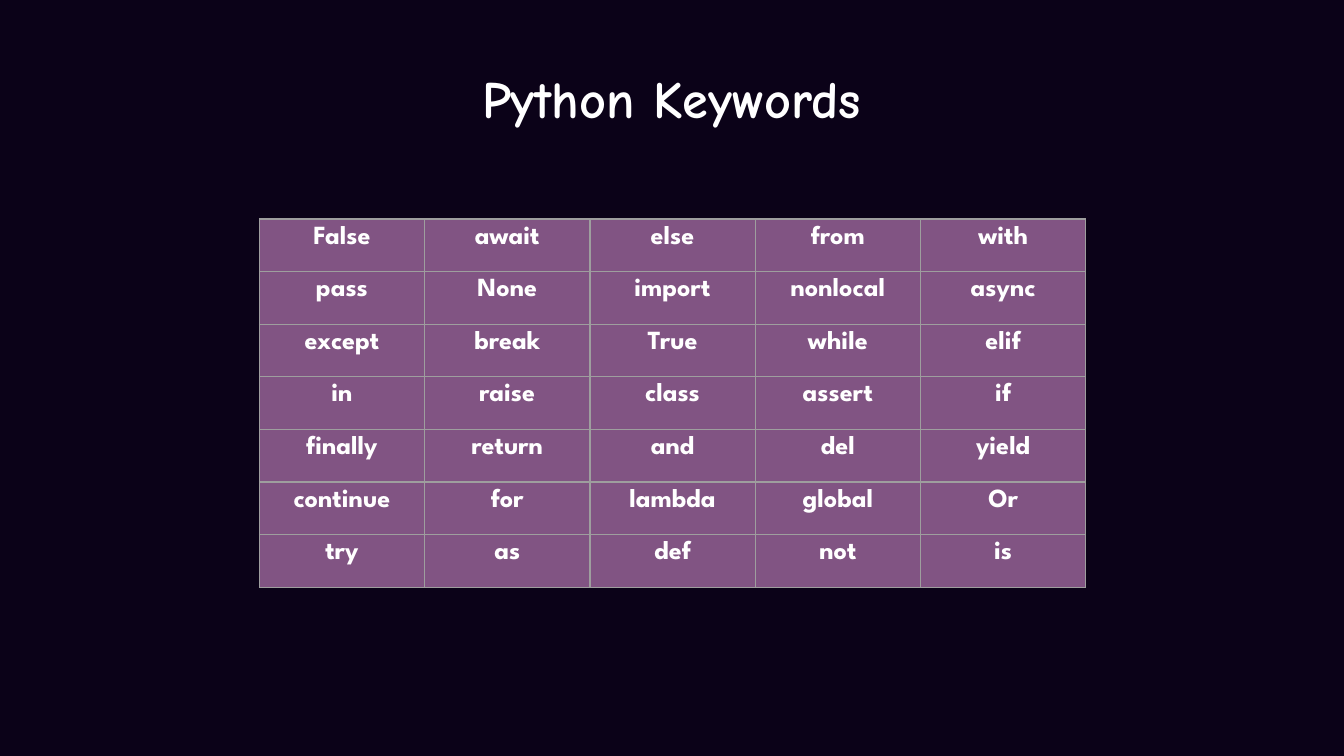
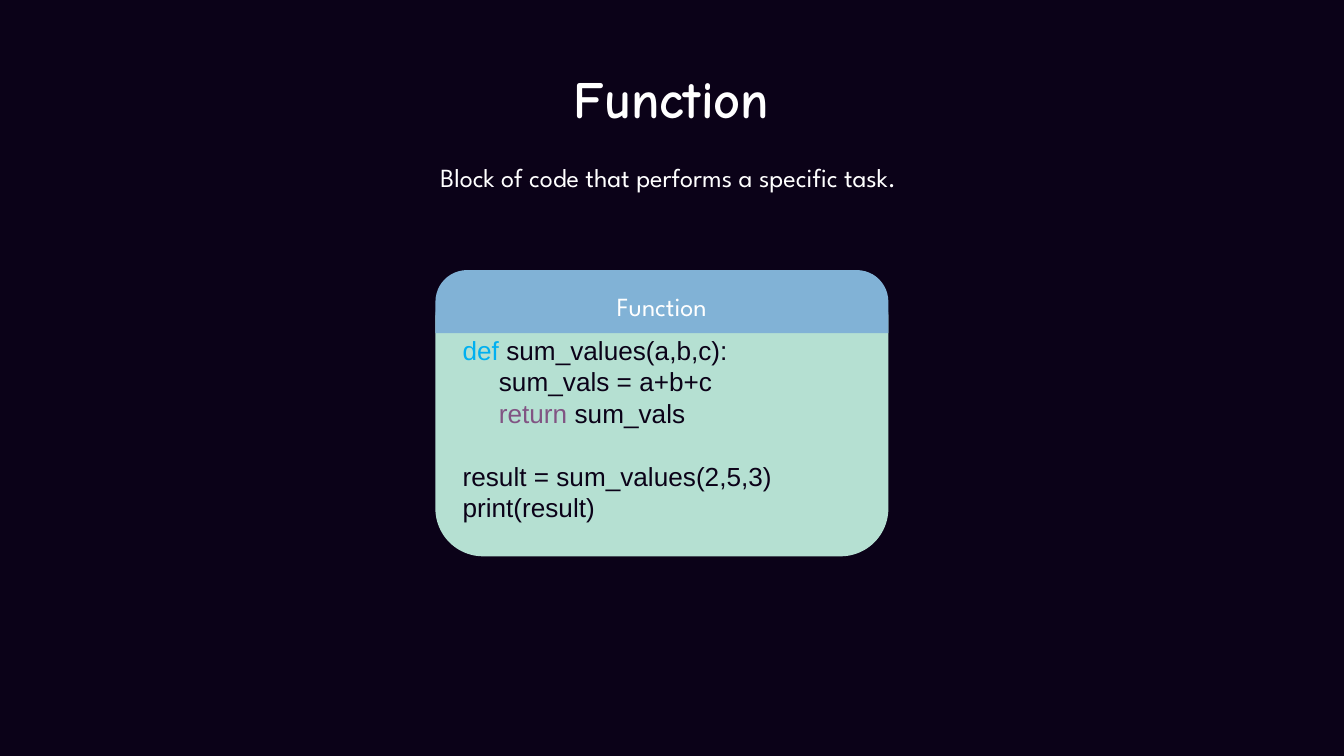
"""Build two slides on Python: a keyword table and a function example."""
from lxml import etree
from pptx import Presentation
from pptx.dml.color import RGBColor
from pptx.enum.shapes import MSO_SHAPE
from pptx.enum.text import MSO_ANCHOR, PP_ALIGN
from pptx.oxml.ns import qn
from pptx.util import Inches, Pt

CENTER, LEFT = PP_ALIGN.CENTER, PP_ALIGN.LEFT
MIDDLE = MSO_ANCHOR.MIDDLE
ROUNDED, ROUNDED_TOP = MSO_SHAPE.ROUNDED_RECTANGLE, MSO_SHAPE.ROUND_2_SAME_RECTANGLE

NIGHT, WHITE, PURPLE, GREY = "0B0218", "FFFFFF", "815483", "9E9E9E"
MINT, BLUE, CYAN = "B5E0D2", "81B2D6", "00B0F0"
TITLE_FONT, BODY_FONT, CODE_FONT = "Comic Neue", "League Spartan", "Arial"

KEYWORDS = [
    "False await else from with",
    "pass None import nonlocal async",
    "except break True while elif",
    "in raise class assert if",
    "finally return and del yield",
    "continue for lambda global Or",
    "try as def not is",
]
CODE = [
    (0, 0, [("def ", CYAN), ("sum_values(a,b,c):", NIGHT)]),
    (0.27, 0, [("sum_vals = a+b+c", NIGHT)]),
    (0.27, 0, [("return ", PURPLE), ("sum_vals", NIGHT)]),
    (0, 17, [("result = sum_values(2,5,3)", NIGHT)]),
    (0, 0, [("print(result)", NIGHT)]),
]


def color(value):
    return RGBColor.from_string(value)


def write(frame, text, size=14, font=BODY_FONT, bold=False):
    frame.word_wrap = True
    para = frame.paragraphs[0]
    para.text = text
    para.alignment = CENTER
    para.font.size = Pt(size)
    para.font.name = font
    para.font.bold = bold
    para.font.color.rgb = color(WHITE)


deck = Presentation()
deck.slide_width = Inches(10)
deck.slide_height = deck.slide_width * 9 // 16

pages = []
for title in ("Python Keywords", "Function"):
    page = deck.slides.add_slide(deck.slide_layouts[6])
    page.background.fill.solid()
    page.background.fill.fore_color.rgb = color(NIGHT)
    box = page.shapes.add_textbox(Inches(1.72), Inches(0.39), Inches(6.55), Inches(0.64))
    frame = box.text_frame
    frame.margin_left = frame.margin_right = Inches(0.1)
    frame.margin_top = frame.margin_bottom = Inches(0.1)
    write(frame, title, 28, TITLE_FONT, True)
    pages.append(page)
keyword_page, function_page = pages

table = keyword_page.shapes.add_table(
    len(KEYWORDS), 5, Inches(1.93), Inches(1.63), Inches(6.15), Inches(2.74)
).table
for row, line in enumerate(KEYWORDS):
    for column, keyword in enumerate(line.split()):
        cell = table.cell(row, column)
        write(cell.text_frame, keyword, bold=True)
        properties = cell._tc.get_or_add_tcPr()
        for side in ("a:lnL", "a:lnR", "a:lnT", "a:lnB"):
            border = etree.SubElement(properties, qn(side), w=str(Pt(0.75)))
            solid = etree.SubElement(border, qn("a:solidFill"))
            etree.SubElement(solid, qn("a:srgbClr"), val=GREY)
        cell.fill.solid()
        cell.fill.fore_color.rgb = color(PURPLE)

box = function_page.shapes.add_textbox(Inches(2.5), Inches(1.15), Inches(5), Inches(0.34))
write(box.text_frame, "Block of code that performs a specific task. ")

card = function_page.shapes.add_group_shape()
panels = []
for kind, height, fill in ((ROUNDED, 2.13, MINT), (ROUNDED_TOP, 0.47, BLUE)):
    panel = card.shapes.add_shape(kind, Inches(3.24), Inches(2.01), Inches(3.37), Inches(height))
    panel.shadow.inherit = False
    panel.fill.solid()
    panel.fill.fore_color.rgb = color(fill)
    panel.line.fill.background()
    panel.text_frame.vertical_anchor = MIDDLE
    panels.append(panel)
code_panel, header = panels

header.adjustments[0] = 0.5
write(header.text_frame, "Function")

frame = code_panel.text_frame
frame.word_wrap = True
frame.margin_top = Inches(0.28)
for number, (indent, gap, spans) in enumerate(CODE):
    para = frame.add_paragraph() if number else frame.paragraphs[0]
    para.alignment = LEFT
    para.space_before = Pt(gap)
    para.font.size = Pt(14)
    para.font.name = CODE_FONT
    para._p.get_or_add_pPr().set("marL", str(Inches(indent)))
    for text, tint in spans:
        span = para.add_run()
        span.text = text
        span.font.color.rgb = color(tint)

deck.save("out.pptx")
